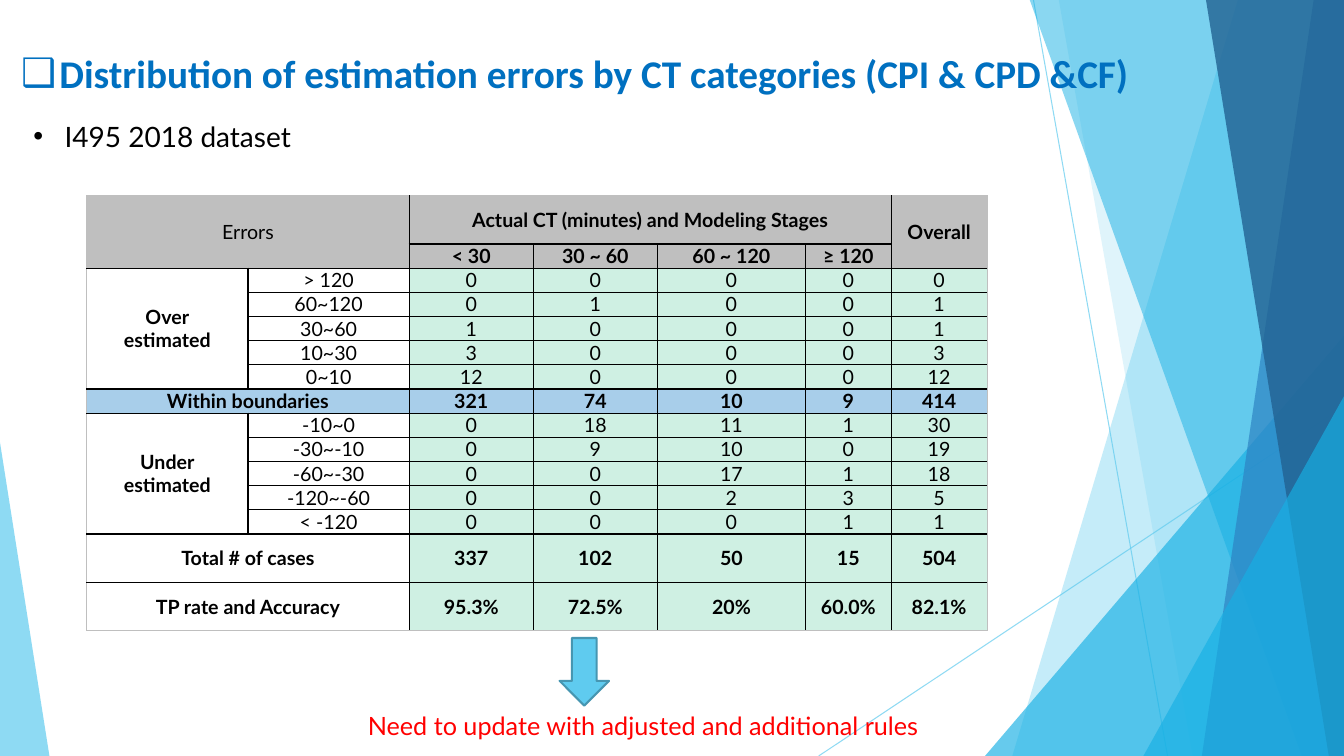
from dataclasses import dataclass

from lxml import etree
from pptx import Presentation
from pptx import util as u
from pptx.dml.color import RGBColor
from pptx.enum import shapes, text
from pptx.oxml import ns

HUES = {
    "sky": "5FCBEF", "cyan": "17B0E4", "blue": "2E83C3", "navy": "226292",
    "title": "0070C0", "red": "FF0000", "black": "000000", "edge": "4696B1",
    "grey": "BFBFBF", "mint": "CFF0E3", "pale": "A8CEEA",
}
WIDE, HIGH = 13.33, 7.5


@dataclass
class Ray:
    start: tuple[float, float]
    end: tuple[float, float]


@dataclass
class Band:
    """Area from a slanted left side to the right slide edge."""
    top: float
    foot: float
    hue: str
    alpha: int


@dataclass
class Wedge:
    """Right triangle standing on the bottom slide edge."""
    left: float
    top: float
    width: float
    apex: int
    hue: str
    alpha: int


@dataclass
class Style:
    size: int
    hue: str
    font: str = "Lato"
    bold: bool = False


RAYS = [Ray((10.25, 0), (11.58, HIGH)), Ray((WIDE, 4.03), (8.12, HIGH))]
DECOR = [
    Band(12.28, 10.04, "sky", 36),
    Band(10.5, 11.83, "sky", 20),
    Wedge(9.77, 3.33, 3.56, 1, "cyan", 66),
    Band(10.21, 12.91, "cyan", 50),
    Band(13.03, 11.92, "blue", 70),
    Band(11.96, 13.18, "navy", 80),
    Wedge(11.34, 3.93, 1.99, 1, "cyan", 66),
    Wedge(0, 4.39, 0.49, 0, "sky", 70),
]
COLS = [1.6, 1.6, 1.23, 1.23, 1.47, 0.85, 0.95]
ROWS = [0.48] + [0.24] * 12 + [0.48] * 2
DATA = [
    ["Errors", "", "Actual CT (minutes) and Modeling Stages", "", "", "", "Overall"],
    ["", "", "< 30", "30 ~ 60", "60 ~ 120", "≥ 120", ""],
    ["Over\nestimated", "> 120", "0", "0", "0", "0", "0"],
    ["", "60~120", "0", "1", "0", "0", "1"],
    ["", "30~60", "1", "0", "0", "0", "1"],
    ["", "10~30", "3", "0", "0", "0", "3"],
    ["", "0~10", "12", "0", "0", "0", "12"],
    ["Within boundaries", "", "321", "74", "10", "9", "414"],
    ["Under\nestimated", "-10~0", "0", "18", "11", "1", "30"],
    ["", "-30~-10", "0", "9", "10", "0", "19"],
    ["", "-60~-30", "0", "0", "17", "1", "18"],
    ["", "-120~-60", "0", "0", "2", "3", "5"],
    ["", "< -120", "0", "0", "0", "1", "1"],
    ["Total # of cases", "", "337", "102", "50", "15", "504"],
    ["TP rate and Accuracy", "", "95.3%", "72.5%", "20%", "60.0%", "82.1%"],
]
SPANS = [(0, 0, 1, 1), (0, 2, 0, 5), (0, 6, 1, 6), (2, 0, 6, 0), (7, 0, 7, 1),
         (8, 0, 12, 0), (13, 0, 13, 1), (14, 0, 14, 1)]
BOLD = {0, 1, 7, 13, 14}


def shade(name: str) -> RGBColor:
    return RGBColor.from_string(HUES[name])


def fade(item, alpha: int) -> None:
    tone = next(item._element.spPr.iter(ns.qn("a:srgbClr")))
    etree.SubElement(tone, ns.qn("a:alpha"), val=str(alpha * 1000))


def paint(item, hue: str, alpha: int = 100) -> None:
    item.shadow.inherit = False
    item.fill.solid()
    item.fill.fore_color.rgb = shade(hue)
    item.line.fill.background()
    if alpha < 100:
        fade(item, alpha)


def draw_ray(slide, ray: Ray) -> None:
    ends = [u.Inches(v) for v in ray.start + ray.end]
    line = slide.shapes.add_connector(shapes.MSO_CONNECTOR.STRAIGHT, *ends)
    line.line.color.rgb = shade("sky")
    line.line.width = u.Pt(0.75)
    fade(line, 70)
    etree.SubElement(line._element.spPr, ns.qn("a:effectLst"))


def draw_decor(slide, part: Band | Wedge) -> None:
    if isinstance(part, Band):
        pen = slide.shapes.build_freeform(u.Inches(part.top), u.Inches(-0.01))
        pts = [(WIDE, -0.01), (WIDE, HIGH), (part.foot, HIGH)]
        pen.add_line_segments([(u.Inches(x), u.Inches(y)) for x, y in pts])
        item = pen.convert_to_shape()
    else:
        box = (part.left, part.top, part.width, HIGH - part.top)
        item = slide.shapes.add_shape(shapes.MSO_SHAPE.ISOSCELES_TRIANGLE,
                                      *map(u.Inches, box))
        item.adjustments[0] = part.apex
    paint(item, part.hue, part.alpha)


def write(para, words: str, style: Style) -> None:
    for i, line in enumerate(words.split("\n")):
        if i:
            para.add_line_break()
        run = para.add_run()
        run.text = line
        run.font.size, run.font.bold = u.Pt(style.size), style.bold
        run.font.name = style.font
        run.font.color.rgb = shade(style.hue)


def place(item, box: tuple, words: str, style: Style, mark: str = "",
          hang: float = 0) -> None:
    item.left, item.top, item.width, item.height = map(u.Inches, box)
    frame = item.text_frame
    frame.word_wrap, frame.auto_size = True, text.MSO_AUTO_SIZE.NONE
    frame.vertical_anchor = text.MSO_ANCHOR.MIDDLE
    para = frame.paragraphs[0]
    para.alignment, para.space_before = text.PP_ALIGN.LEFT, u.Pt(0)
    write(para, words, style)
    if mark:
        props = para._p.get_or_add_pPr()
        props.set("marL", str(u.Inches(hang)))
        props.set("indent", str(-u.Inches(hang)))
        etree.SubElement(props, ns.qn("a:buFont"), typeface="Arial")
        etree.SubElement(props, ns.qn("a:buChar"), char=mark)


def rule(cell, row: int, col: int) -> None:
    outer = {"L": col == 0, "R": col == len(COLS) - 1,
             "T": row == 0, "B": row == len(ROWS) - 1}
    props = cell._tc.get_or_add_tcPr()
    for i, (side, rim) in enumerate(outer.items()):
        width = u.Pt(0.5 if rim else 1)
        line = etree.Element(ns.qn(f"a:ln{side}"), w=str(width))
        fill = etree.SubElement(line, ns.qn("a:solidFill"))
        etree.SubElement(fill, ns.qn("a:srgbClr"), val=HUES["grey" if rim else "black"])
        props.insert(i, line)


def draw_table(slide) -> None:
    box = map(u.Inches, (0.86, 1.94, sum(COLS), sum(ROWS)))
    grid = slide.shapes.add_table(len(ROWS), len(COLS), *box).table
    grid.first_row = grid.horz_banding = False
    for col, width in zip(grid.columns, COLS):
        col.width = u.Inches(width)
    for row, height in zip(grid.rows, ROWS):
        row.height = u.Inches(height)
    for r, line in enumerate(DATA):
        for c, words in enumerate(line):
            cell = grid.cell(r, c)
            cell.margin_left = cell.margin_right = 0
            cell.margin_top = cell.margin_bottom = 0
            cell.vertical_anchor = text.MSO_ANCHOR.MIDDLE
            hue = "grey" if r < 2 else "pale" if r == 7 else "mint" if c > 1 else ""
            if hue:
                cell.fill.solid()
                cell.fill.fore_color.rgb = shade(hue)
            else:
                cell.fill.background()
            rule(cell, r, c)
            if words:
                bold = (r in BOLD or c == 0) and (r, c) != (0, 0)
                para = cell.text_frame.paragraphs[0]
                para.alignment = text.PP_ALIGN.CENTER
                write(para, words, Style(14, "black", bold=bold))
    for top, left, low, right in SPANS:
        grid.cell(top, left).merge(grid.cell(low, right))


def main() -> None:
    deck = Presentation()
    deck.slide_width, deck.slide_height = u.Inches(WIDE), u.Inches(HIGH)
    slide = deck.slides.add_slide(deck.slide_layouts[1])
    title, body = slide.placeholders

    # Side decoration
    for ray in RAYS:
        draw_ray(slide, ray)
    for part in DECOR:
        draw_decor(slide, part)

    # Error table
    draw_table(slide)

    # Arrow and closing note
    box = map(u.Inches, (5.55, 6.33, 0.49, 0.67))
    arrow = slide.shapes.add_shape(shapes.MSO_SHAPE.DOWN_ARROW, *box)
    paint(arrow, "sky")
    arrow.line.color.rgb = shade("edge")
    arrow.line.width = u.Pt(1.5)
    note = slide.shapes.add_textbox(0, 0, 0, 0)
    place(note, (3.55, 7, 5.86, 0.4),
          "Need to update with adjusted and additional rules", Style(18, "red"))

    # Title and list, in front of the decoration
    place(title, (0.11, 0.44, 12.13, 0.57),
          "Distribution of estimation errors by CT categories (CPI & CPD &CF)",
          Style(28, "title", "Calibri", True), "❑", 0.38)
    place(body, (0.23, 1.13, 3.7, 0.44), "I495 2018 dataset",
          Style(20, "black"), "•", 0.31)
    for item in (title, body):
        slide.shapes._spTree.append(item._element)

    deck.save("out.pptx")


if __name__ == "__main__":
    main()
